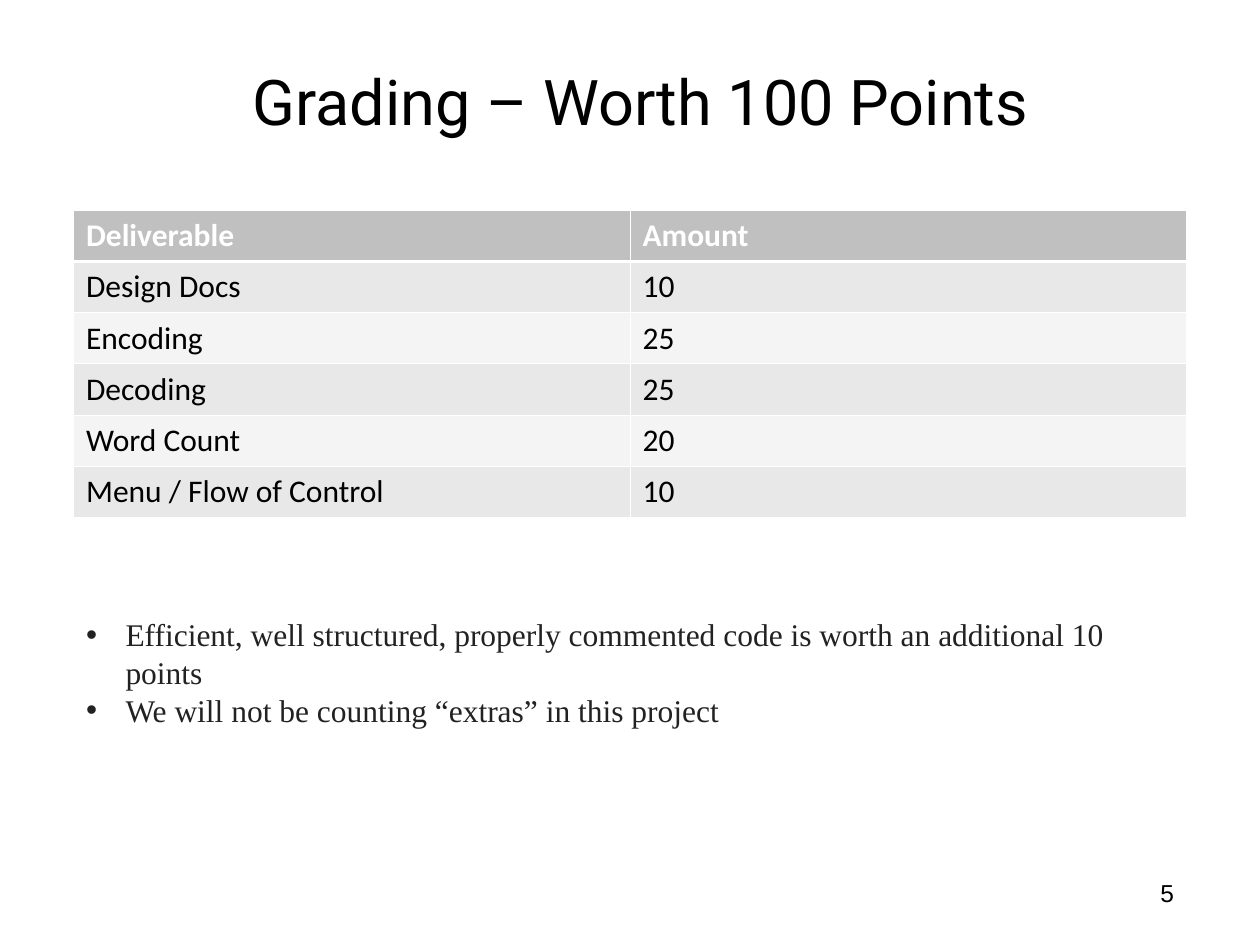
from dataclasses import dataclass

from lxml import etree
from pptx import Presentation
from pptx.dml.color import RGBColor
from pptx.enum import text
from pptx.oxml import ns
from pptx.util import Pt


@dataclass
class Box:
    left: float
    top: float
    width: float
    height: float

    def lengths(self) -> tuple:
        return Pt(self.left), Pt(self.top), Pt(self.width), Pt(self.height)


@dataclass
class Style:
    font: str
    size: float
    color: str
    bold: bool = False


@dataclass
class GradeRow:
    deliverable: str
    amount: str


GRADES = [
    GradeRow("Deliverable", "Amount"),
    GradeRow("Design Docs", "10"),
    GradeRow("Encoding", "25"),
    GradeRow("Decoding", "25"),
    GradeRow("Word Count", "20"),
    GradeRow("Menu / Flow of Control", "10"),
]
NOTES = [
    "Efficient, well structured, properly commented code is worth an additional 10 points",
    "We will not be counting “extras” in this project",
]
ROW_HEIGHT = 29.2
HEADER_FILL = "C0C0C0"
BAND_FILLS = ("F4F4F4", "E8E8E8")
HEADER_STYLE = Style("Calibri", 18, "FFFFFF", True)
CELL_STYLE = Style("Calibri", 18, "000000")
THIN, THICK = 0.45, 1.47


def rgb(color: str) -> RGBColor:
    return RGBColor.from_string(color)


def format_paragraph(paragraph, style: Style, alignment=text.PP_ALIGN.LEFT) -> None:
    paragraph.alignment = alignment
    paragraph.font.name = style.font
    paragraph.font.size = Pt(style.size)
    paragraph.font.bold = style.bold
    paragraph.font.color.rgb = rgb(style.color)


def place(shape, box: Box) -> None:
    shape.left, shape.top, shape.width, shape.height = box.lengths()


def add_border(cell, side: str, width: float) -> None:
    properties = cell._tc.get_or_add_tcPr()
    line = etree.SubElement(properties, ns.qn(f"a:ln{side}"), w=str(Pt(width)))
    fill = etree.SubElement(line, ns.qn("a:solidFill"))
    etree.SubElement(fill, ns.qn("a:srgbClr"), val="FFFFFF")


def fill_cell(cell, content: str, row: int) -> None:
    cell.text = content
    format_paragraph(cell.text_frame.paragraphs[0], CELL_STYLE if row else HEADER_STYLE)
    widths = {
        "L": THIN,
        "R": THIN,
        "T": THICK if row == 1 else THIN,
        "B": THICK if row == 0 else THIN,
    }
    for side, width in widths.items():
        add_border(cell, side, width)
    cell.fill.solid()
    cell.fill.fore_color.rgb = rgb(BAND_FILLS[row % 2] if row else HEADER_FILL)


def add_grade_table(slide, grades: list[GradeRow]) -> None:
    box = Box(42, 120.3, 636, ROW_HEIGHT * len(grades))
    table = slide.shapes.add_table(len(grades), 2, *box.lengths()).table
    for row, grade in enumerate(grades):
        table.rows[row].height = Pt(ROW_HEIGHT)
        for column, content in enumerate((grade.deliverable, grade.amount)):
            fill_cell(table.cell(row, column), content, row)


def write_title(title, content: str) -> None:
    place(title, Box(52.5, 16.5, 627, 81.5))
    title.text_frame.text = content
    title.text_frame.vertical_anchor = text.MSO_ANCHOR.MIDDLE
    format_paragraph(
        title.text_frame.paragraphs[0],
        Style("Roboto", 36, "000000"),
        text.PP_ALIGN.CENTER,
    )


def write_notes(body, notes: list[str]) -> None:
    place(body, Box(42, 348, 618, 72))
    frame = body.text_frame
    frame.text = "\n".join(notes)
    frame.auto_size = text.MSO_AUTO_SIZE.SHAPE_TO_FIT_TEXT
    for paragraph in frame.paragraphs:
        format_paragraph(paragraph, Style("Times New Roman", 18, "222222"))
        paragraph.space_before = Pt(0)
        properties = paragraph._p.get_or_add_pPr()
        properties.set("marL", str(Pt(22.5)))
        properties.set("indent", str(Pt(-22.5)))


def add_page_number(slide, number: str) -> None:
    frame = slide.shapes.add_textbox(*Box(516, 498, 162, 30).lengths()).text_frame
    frame.word_wrap = True
    frame.text = number
    format_paragraph(
        frame.paragraphs[0], Style("Arial", 14, "000000"), text.PP_ALIGN.RIGHT
    )


def main() -> None:
    presentation = Presentation()
    presentation.slide_width, presentation.slide_height = Pt(720), Pt(540)
    slide = presentation.slides.add_slide(presentation.slide_layouts[1])
    write_title(slide.shapes.title, "Grading – Worth 100 Points")
    add_grade_table(slide, GRADES)
    write_notes(slide.placeholders[1], NOTES)
    add_page_number(slide, "5")
    presentation.save("out.pptx")


if __name__ == "__main__":
    main()
